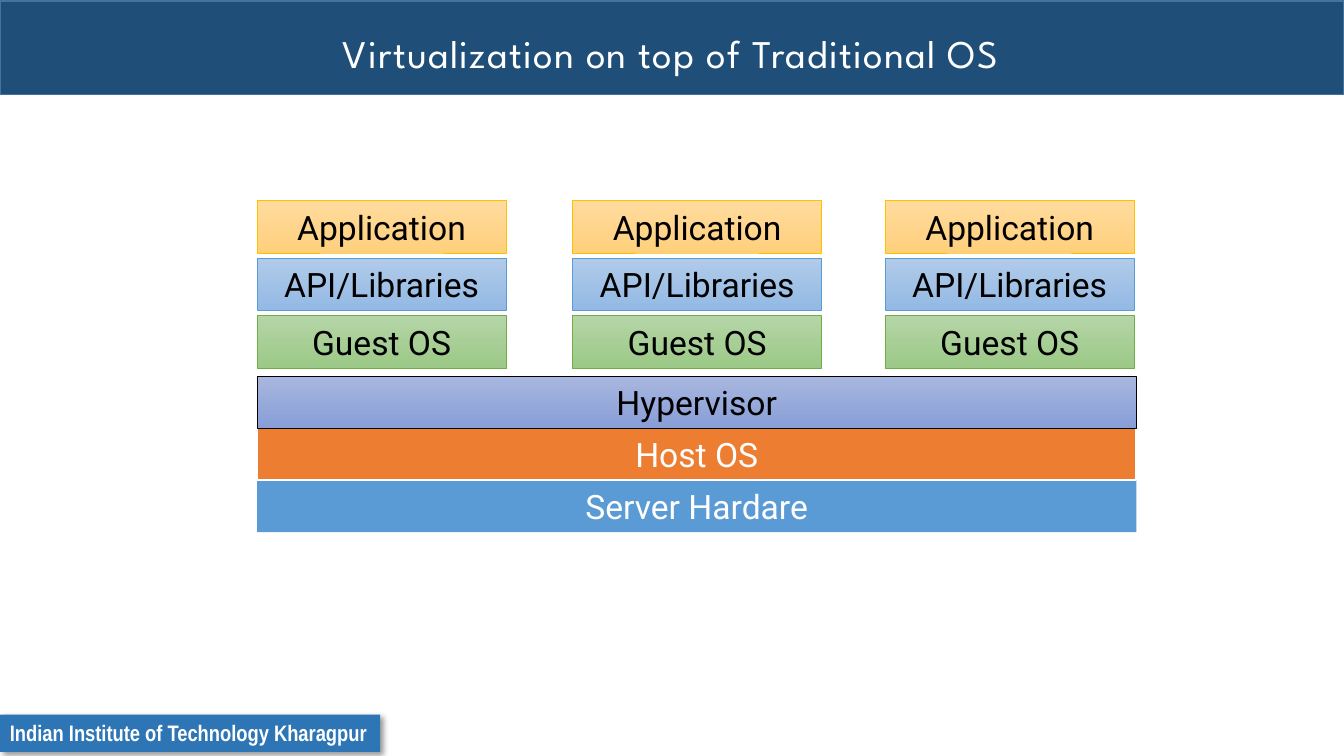
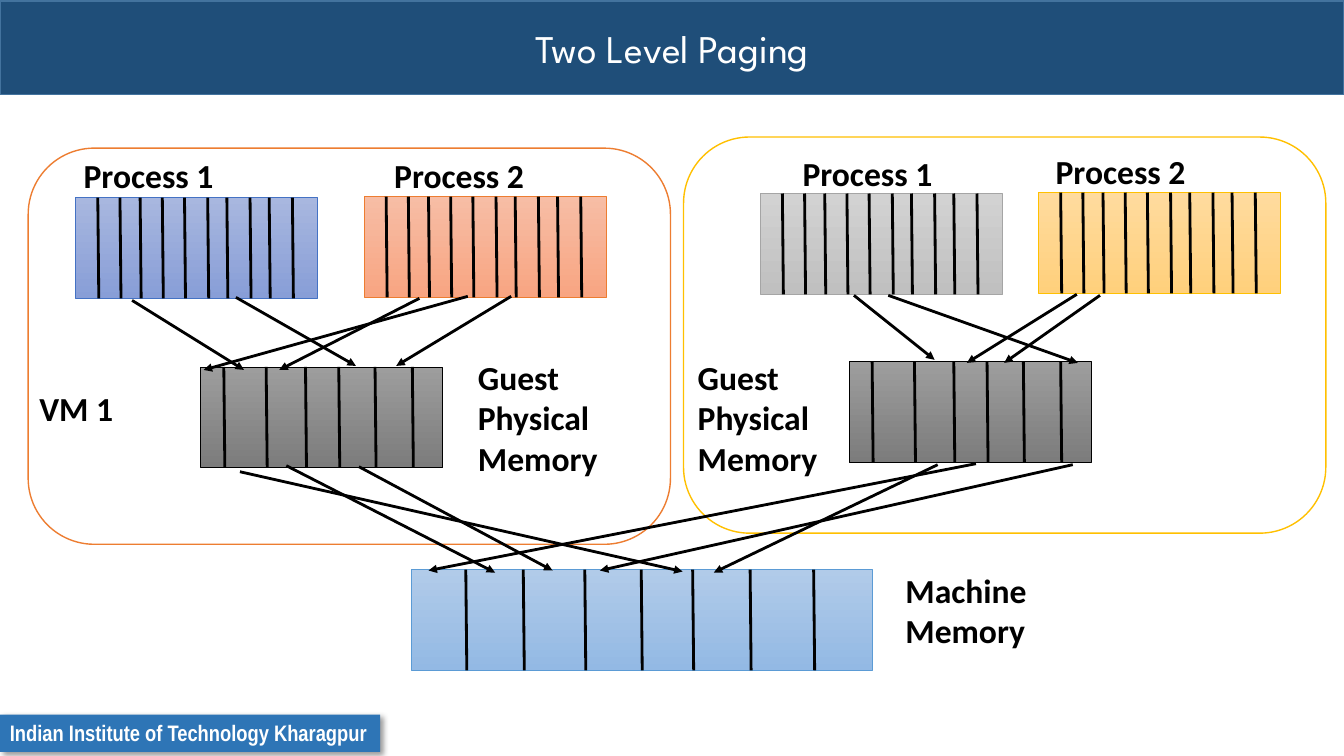
from lxml import etree
from pptx import Presentation
from pptx.dml.color import RGBColor
from pptx.enum.shapes import MSO_CONNECTOR, MSO_SHAPE
from pptx.enum.text import MSO_ANCHOR, PP_ALIGN
from pptx.oxml import parse_xml
from pptx.oxml.ns import nsdecls, qn
from pptx.util import Inches, Pt

COLORS = {
    "white": "FFFFFF", "black": "000000", "band": "1F4E79", "band edge": "43739E",
    "footer": "2E75B6", "blue": "5B9BD5", "orange": "ED7D31", "gold": "FFC000",
    "green": "70AD47", "indigo": "4472C4", "silver": "A5A5A5",
}
GRADIENTS = {
    "indigo": ("A8B7DF", "889ED7"), "salmon": ("F7BDA5", "F8A582"),
    "silver": ("D2D2D2", "C0C0C0"), "gold": ("FFDB9E", "FFD07C"),
    "green": ("B5D5A7", "9CC987"), "blue": ("B1CBE9", "93B9E4"),
    "gray": ("9D9D9D", "7C7C7C"),
}
TITLE = {"size": Pt(28), "name": "League Spartan"}
FOOTER = {"size": Pt(16), "name": "Arial Narrow", "bold": True}
LAYER = {"size": Pt(24), "name": "Roboto"}
LABEL = {"size": Pt(24), "name": "Calibri", "bold": True}

CENTERED = {"vertical_anchor": MSO_ANCHOR.MIDDLE, "word_wrap": True}
PADDED = CENTERED | {f"margin_{side}": Inches(0.06) for side in ("left", "top", "right", "bottom")}
FLUSH = {f"margin_{side}": 0 for side in ("left", "top", "right", "bottom")}
TOP_FLUSH = FLUSH | {"vertical_anchor": MSO_ANCHOR.TOP, "word_wrap": True}


def add_block(slide, box, fill=None, outline=None, preset=MSO_SHAPE.RECTANGLE,
              text=None, font=None, color="black", frame=None, align=PP_ALIGN.CENTER):
    place = [Inches(value) for value in box]
    if fill or outline:
        block = slide.shapes.add_shape(preset, *place)
        block.shadow.inherit = False
        if isinstance(fill, tuple):
            block.fill.gradient()
            block.fill.gradient_angle = 270
            for stop, position, shade in zip(block.fill.gradient_stops, (0, 1), fill):
                stop.position = position
                stop.color.rgb = RGBColor.from_string(shade)
        elif fill:
            block.fill.solid()
            block.fill.fore_color.rgb = RGBColor.from_string(COLORS[fill])
        else:
            block.fill.background()
        if outline:
            block.line.color.rgb = RGBColor.from_string(COLORS[outline[0]])
            block.line.width = Pt(outline[1])
        else:
            block.line.fill.background()
    else:
        block = slide.shapes.add_textbox(*place)
    if text:
        for attribute, value in frame.items():
            setattr(block.text_frame, attribute, value)
        paragraph = block.text_frame.paragraphs[0]
        paragraph.alignment = align
        run = paragraph.add_run()
        run.text = text
        for attribute, value in font.items():
            setattr(run.font, attribute, value)
        run.font.color.rgb = RGBColor.from_string(COLORS[color])
    return block


def add_line(slide, start, end, arrow=False):
    line = slide.shapes.add_connector(
        MSO_CONNECTOR.STRAIGHT, *[Inches(value) for value in (*start, *end)])
    line.line.color.rgb = RGBColor.from_string(COLORS["black"])
    line.line.width = Pt(2)
    properties = line._element.spPr
    if arrow:
        etree.SubElement(properties.find(qn("a:ln")), qn("a:tailEnd"), type="triangle")
    etree.SubElement(properties, qn("a:effectLst"))


deck = Presentation()
deck.slide_width = Inches(13.33)
deck.slide_height = Inches(7.5)

slides = []
for title, box, margins, spacing in (
    ("Virtualization on top of Traditional OS", (0.04, 0.28, 13.23, 0.49), FLUSH, "90"),
    ("Two Level Paging", (0, 0.01, 13.33, 0.93), {}, "0"),
):
    slide = deck.slides.add_slide(deck.slide_layouts[6])
    add_block(slide, (0, 0.01, 13.33, 0.93), "band", ("band edge", 1))
    footer = add_block(slide, (0, 7.09, 3.77, 0.37), "footer",
                       text="Indian Institute of Technology Kharagpur", font=FOOTER,
                       color="white", align=PP_ALIGN.LEFT,
                       frame={"vertical_anchor": MSO_ANCHOR.TOP, "word_wrap": False})
    footer._element.spPr.find(qn("a:effectLst")).append(parse_xml(
        f'<a:outerShdw {nsdecls("a")} blurRad="{Pt(4)}" dist="{Pt(3)}" dir="2700000">'
        f'<a:srgbClr val="{COLORS["black"]}"><a:alpha val="40000"/></a:srgbClr></a:outerShdw>'))
    heading = add_block(slide, box, text=title, font=TITLE, color="white",
                        frame=CENTERED | margins)
    heading.text_frame.paragraphs[0].runs[0].font._element.set("spc", spacing)
    slides.append(slide)
virtualization, paging = slides

host_layers = (
    ("Server Hardare", "blue", None, "white"),
    ("Host OS", "orange", ("white", 1.5), "white"),
    ("Hypervisor", GRADIENTS["indigo"], ("black", 0.5), "black"),
)
for level, (text, fill, outline, color) in enumerate(host_layers):
    add_block(virtualization, (2.55, 4.76 - 0.515 * level, 8.72, 0.52), fill, outline,
              text=text, font=LAYER, color=color, frame=PADDED)

guest_layers = (("Application", "gold"), ("API/Libraries", "blue"), ("Guest OS", "green"))
for left in (2.55, 5.68, 8.78):
    for level, (text, hue) in enumerate(guest_layers):
        add_block(virtualization, (left, 1.99 + 0.57 * level, 2.47, 0.52),
                  GRADIENTS[hue], (hue, 0.5), text=text, font=LAYER, frame=PADDED)

process_pages = (0.22, 0.44, 0.64, 0.86, 1.08, 1.31, 1.5, 1.73, 1.92, 2.15)
guest_pages = (0.23, 0.65, 1.04, 1.37, 1.73, 2.1)
machine_pages = (0.54, 1.11, 1.72, 2.28, 2.79, 3.36, 3.99)
memories = (
    (0.75, 1.96, 2.4, "indigo", "indigo", process_pages),
    (3.61, 1.95, 2.4, "salmon", "orange", process_pages),
    (7.54, 1.92, 2.4, "silver", "silver", process_pages),
    (10.3, 1.91, 2.4, "gold", "gold", process_pages),
    (1.99, 3.64, 2.4, "gray", "black", guest_pages),
    (8.42, 3.59, 2.4, "gray", "black", guest_pages),
    (4.08, 5.65, 4.57, "blue", "blue", machine_pages),
)
for left, top, width, hue, edge, pages in memories:
    add_block(paging, (left, top, width, 1), GRADIENTS[hue], (edge, 0.5))
    for page in pages:
        add_line(paging, (left + page, top), (left + page + 0.01, top + 1))

for left, top, edge in ((0.28, 1.47, "orange"), (6.78, 1.36, "gold")):
    add_block(paging, (left, top, 6.37, 3.93), outline=(edge, 1),
              preset=MSO_SHAPE.ROUNDED_RECTANGLE)

labels = (
    ("Process 1", 0.83, 1.54, 0.4), ("Process 2", 3.91, 1.54, 0.4),
    ("Process 1", 7.96, 1.52, 0.4), ("Process 2", 10.47, 1.5, 0.4),
    ("VM 1", 0.39, 3.85, 0.4),
    ("Guest Physical Memory", 6.92, 3.54, 1.21),
    ("Guest Physical Memory", 4.74, 3.54, 1.21),
    ("Machine Memory", 8.98, 5.65, 0.81),
)
for text, left, top, height in labels:
    add_block(paging, (left, top, 1.94, height), text=text, font=LABEL,
              frame=TOP_FLUSH, align=PP_ALIGN.LEFT)

mappings = (
    ((1.31, 2.98), (2.42, 3.67)), ((2.34, 2.95), (3.53, 3.63)),
    ((4.16, 2.96), (2.77, 3.67)), ((4.64, 2.94), (2.02, 3.67)),
    ((5.07, 2.94), (3.93, 3.63)), ((8.81, 2.93), (10.69, 3.6)),
    ((8.47, 2.93), (9.27, 3.57)), ((10.68, 2.92), (9.59, 3.6)),
    ((10.91, 2.93), (9.96, 3.6)), ((2.84, 4.62), (4.91, 5.68)),
    ((2.38, 4.68), (6.77, 5.67)), ((3.56, 4.63), (5.48, 5.66)),
    ((9.3, 4.61), (7.08, 5.68)), ((9.68, 4.6), (4.25, 5.66)),
    ((10.64, 4.61), (5.95, 5.66)),
)
for start, end in mappings:
    add_line(paging, start, end, arrow=True)

deck.save("out.pptx")
